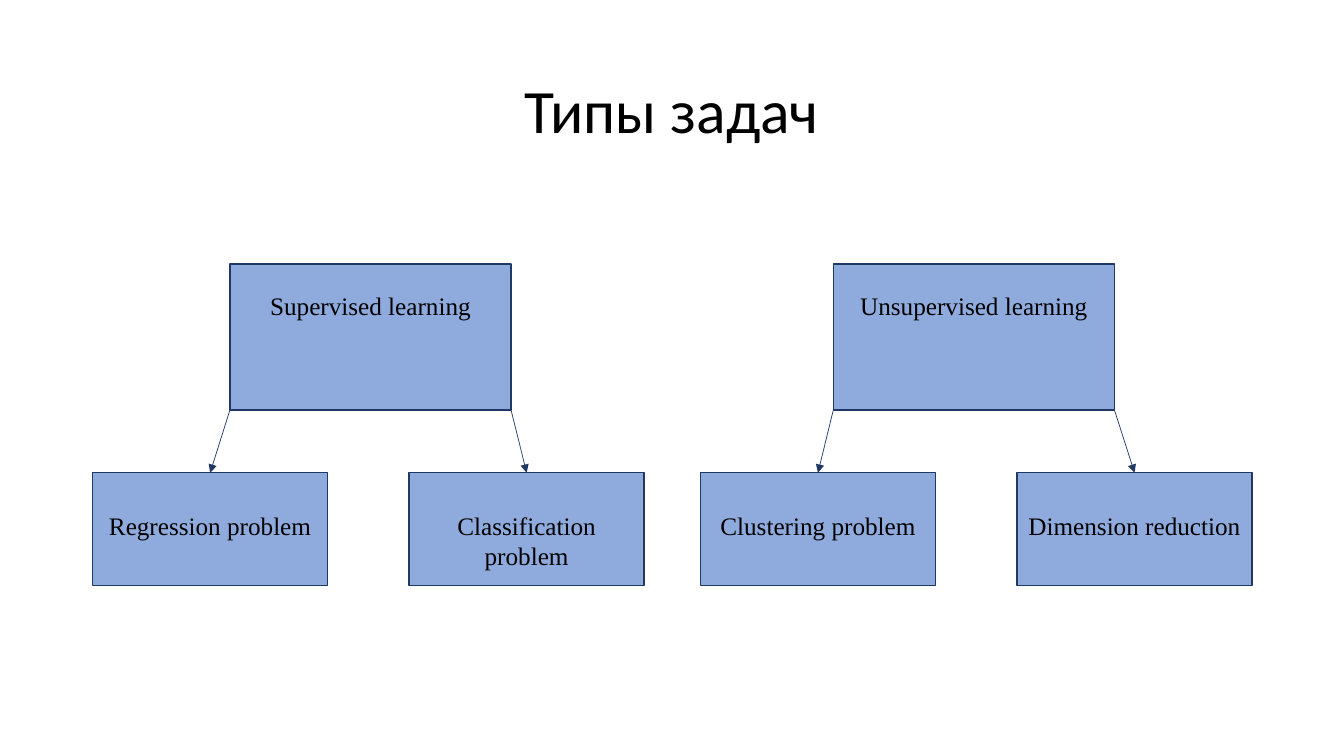
from dataclasses import dataclass

from lxml.etree import SubElement
from pptx import Presentation
from pptx.dml.color import RGBColor
from pptx.enum.shapes import MSO_CONNECTOR, MSO_SHAPE
from pptx.enum.text import MSO_ANCHOR, MSO_AUTO_SIZE, PP_ALIGN
from pptx.oxml.ns import qn
from pptx.util import Pt


@dataclass(frozen=True)
class Theme:
    text: RGBColor = RGBColor(0x00, 0x00, 0x00)
    box: RGBColor = RGBColor(0x8F, 0xAA, 0xDC)
    outline: RGBColor = RGBColor(0x20, 0x38, 0x64)
    title_font: str = "Calibri"
    label_font: str = "Times New Roman"
    title_size: int = 44
    label_size: int = 18
    box_line: float = 1
    arrow_line: float = 0.5


@dataclass(frozen=True)
class Level:
    """Measures, in points, shared by all boxes of one row of the tree."""
    top: float
    width: float
    height: float
    label_offset: float
    label_height: float = 29


THEME = Theme()
LEARNING = Level(top=188.6, width=200.9, height=104.4, label_offset=15.1)
PROBLEM = Level(top=337.7, width=167.8, height=80.6, label_offset=23)

# Each tree: learning type and left edge, then its problems and left edges
TREES = [
    ("Supervised learning", 164.2,
     [("Regression problem", 66.2), ("Classification problem", 292.3)]),
    ("Unsupervised learning", 595.2,
     [("Clustering problem", 500.4), ("Dimension reduction", 726.5)]),
]


def format_text(paragraph, font_name, size):
    paragraph.alignment = PP_ALIGN.CENTER
    for run in paragraph.runs:
        run.font.name = font_name
        run.font.size = Pt(size)
        run.font.color.rgb = THEME.text


def add_title(slide, text):
    title = slide.shapes.title
    title.left, title.top = Pt(66), Pt(28.8)
    title.width, title.height = Pt(828), Pt(104.4)
    text_frame = title.text_frame
    text_frame.text = text
    text_frame.vertical_anchor = MSO_ANCHOR.MIDDLE
    paragraph = text_frame.paragraphs[0]
    paragraph.line_spacing = 0.9
    format_text(paragraph, THEME.title_font, THEME.title_size)


def add_box(slide, left, level):
    box = slide.shapes.add_shape(
        MSO_SHAPE.RECTANGLE,
        Pt(left), Pt(level.top), Pt(level.width), Pt(level.height))
    box.shadow.inherit = False
    box.fill.solid()
    box.fill.fore_color.rgb = THEME.box
    box.line.color.rgb = THEME.outline
    box.line.width = Pt(THEME.box_line)
    return box


def add_label(slide, text, left, level):
    label = slide.shapes.add_textbox(
        Pt(left), Pt(level.top + level.label_offset),
        Pt(level.width), Pt(level.label_height))
    text_frame = label.text_frame
    text_frame.word_wrap = True
    text_frame.auto_size = MSO_AUTO_SIZE.SHAPE_TO_FIT_TEXT
    text_frame.text = text
    format_text(text_frame.paragraphs[0], THEME.label_font, THEME.label_size)


def add_arrow(slide, start_x, start_y, target):
    """Draw an arrow from a point to the top centre of the target box."""
    arrow = slide.shapes.add_connector(
        MSO_CONNECTOR.STRAIGHT, start_x, start_y,
        target.left + target.width // 2, target.top)
    arrow.end_connect(target, 0)
    arrow.line.color.rgb = THEME.outline
    arrow.line.width = Pt(THEME.arrow_line)
    SubElement(arrow.line._get_or_add_ln(), qn("a:tailEnd"), type="triangle")
    SubElement(arrow._element.spPr, qn("a:effectLst"))


def add_tree(slide, learning, learning_left, problems):
    parent = add_box(slide, learning_left, LEARNING)
    add_label(slide, learning, learning_left, LEARNING)

    # One arrow leaves each bottom corner of the parent box
    corners = (parent.left, parent.left + parent.width)
    for (problem, left), corner in zip(problems, corners):
        child = add_box(slide, left, PROBLEM)
        add_label(slide, problem, left, PROBLEM)
        add_arrow(slide, corner, parent.top + parent.height, child)


def main():
    presentation = Presentation()
    presentation.slide_width, presentation.slide_height = Pt(960), Pt(540)
    title_only = presentation.slide_layouts[5]
    slide = presentation.slides.add_slide(title_only)

    add_title(slide, "Типы задач")
    for learning, left, problems in TREES:
        add_tree(slide, learning, left, problems)

    presentation.save("out.pptx")


if __name__ == "__main__":
    main()
